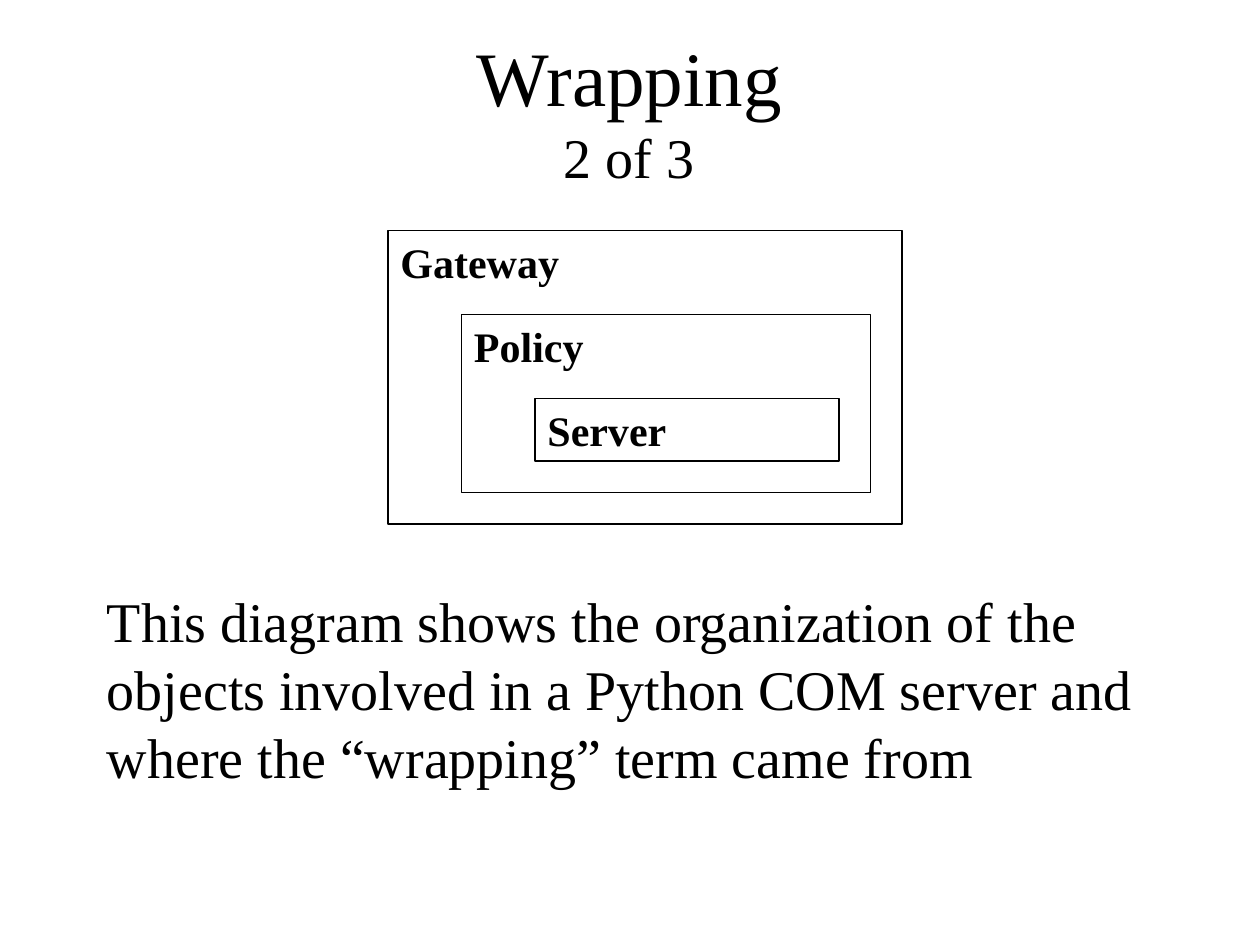
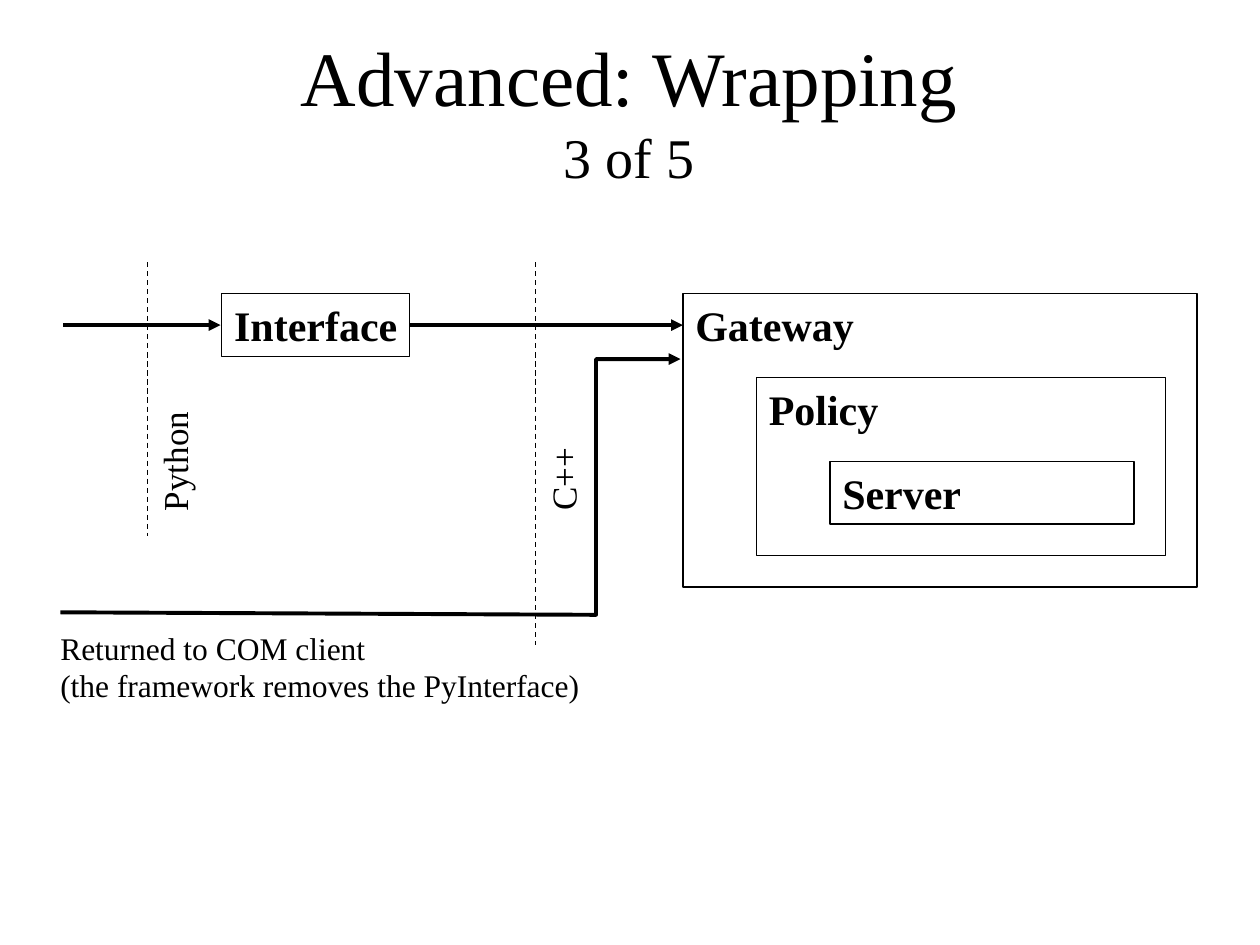
import pptx
import pptx.dml.color
import pptx.enum.dml
import pptx.enum.shapes
import pptx.enum.text
import pptx.oxml.ns
import pptx.util
from lxml import etree
from pptx.util import Inches

BLACK = pptx.dml.color.RGBColor(0x00, 0x00, 0x00)
WHITE = pptx.dml.color.RGBColor(0xFF, 0xFF, 0xFF)
FONT = "Times New Roman"
THIN, THICK = 0.75, 2.25
ANCHOR = pptx.enum.text.MSO_ANCHOR
ALIGN = pptx.enum.text.PP_ALIGN
RECTANGLE = pptx.enum.shapes.MSO_SHAPE.RECTANGLE
STRAIGHT = pptx.enum.shapes.MSO_CONNECTOR.STRAIGHT
DASH = pptx.enum.dml.MSO_LINE_DASH_STYLE.DASH


class Deck:
    def __init__(self):
        self.presentation = pptx.Presentation()
        self.presentation.slide_width = Inches(10)
        self.presentation.slide_height = Inches(7.5)
        self.slide = None

    def new_slide(self, title, part):
        self.slide = self.presentation.slides.add_slide(self.presentation.slide_layouts[6])
        fill = self.slide.background.fill
        fill.solid()
        fill.fore_color.rgb = WHITE
        frame = self.text_frame(0.33, 0.33, 9.33, 1.08)
        frame.vertical_anchor = ANCHOR.MIDDLE
        paragraph = frame.paragraphs[0]
        paragraph.alignment = ALIGN.CENTER
        self.run(paragraph, title, 44)
        paragraph.add_line_break()
        self.run(paragraph, part, 32)

    def run(self, paragraph, text, size, bold=False):
        run = paragraph.add_run()
        run.text = text
        run.font.name = FONT
        run.font.size = pptx.util.Pt(size)
        run.font.bold = bold
        run.font.color.rgb = BLACK

    def text_frame(self, left, top, width, height):
        shape = self.slide.shapes.add_textbox(
            Inches(left), Inches(top), Inches(width), Inches(height))
        shape.text_frame.word_wrap = True
        return shape.text_frame

    def lines(self, frame, texts, size):
        """Write one paragraph for each text and return the paragraphs."""
        for index, text in enumerate(texts):
            paragraph = frame.add_paragraph() if index else frame.paragraphs[0]
            self.run(paragraph, text, size)
        return frame.paragraphs

    def body(self, texts):
        frame = self.text_frame(0.75, 4.71, 8.5, 1.95)
        for paragraph in self.lines(frame, texts, 32):
            paragraph.line_spacing = 0.8
            paragraph.space_before = pptx.util.Pt(8)

    def note(self, left, top, width, height, texts):
        self.lines(self.text_frame(left, top, width, height), texts, 18)

    def side_label(self, left, top, width, text):
        """Write a label that reads from bottom to top."""
        shape = self.slide.shapes.add_textbox(
            Inches(left), Inches(top), Inches(width), Inches(0.44))
        shape.rotation = 270
        shape.text_frame.word_wrap = False
        self.run(shape.text_frame.paragraphs[0], text, 20)

    def box(self, shapes, left, top, width, height, text, wrap=True):
        shape = shapes.add_shape(
            RECTANGLE, Inches(left), Inches(top), Inches(width), Inches(height))
        shape.shadow.inherit = False
        shape.fill.background()
        self.outline(shape, THIN)
        frame = shape.text_frame
        frame.word_wrap = wrap
        frame.vertical_anchor = ANCHOR.TOP
        frame.paragraphs[0].alignment = ALIGN.LEFT
        self.run(frame.paragraphs[0], text, 24, bold=True)

    def nested_boxes(self, left, top):
        """Draw the wrapped objects, each inside the one before."""
        margin, step_right, step_down = 0.25, 7 / 12, 2 / 3
        group = self.slide.shapes.add_group_shape()
        for level, name in enumerate(("Gateway", "Policy", "Server")):
            self.box(group.shapes,
                     left + level * step_right, top + level * step_down,
                     4.08 - level * (step_right + margin),
                     2.33 - level * (step_down + margin), name)

    def outline(self, shape, weight, arrow=False):
        shape.line.color.rgb = BLACK
        shape.line.width = pptx.util.Pt(weight)
        if arrow:
            etree.SubElement(shape.line._get_or_add_ln(),
                             pptx.oxml.ns.qn("a:tailEnd"), type="triangle")

    def connector(self, start, end, weight, arrow=False):
        connector = self.slide.shapes.add_connector(
            STRAIGHT, *(Inches(value) for value in start + end))
        self.outline(connector, weight, arrow)
        etree.SubElement(connector._element.spPr, pptx.oxml.ns.qn("a:effectLst"))
        return connector

    def arrow(self, left, right, y):
        self.connector((left, y), (right, y), THICK, arrow=True)

    def boundary(self, x, top, bottom):
        self.connector((x, top), (x, bottom), THIN).line.dash_style = DASH

    def bent_arrow(self, points):
        corners = [(Inches(x), Inches(y)) for x, y in points]
        builder = self.slide.shapes.build_freeform(*corners[0])
        builder.add_line_segments(corners[1:], close=False)
        shape = builder.convert_to_shape()
        shape.shadow.inherit = False
        shape.fill.background()
        self.outline(shape, THICK, arrow=True)


def main():
    deck = Deck()

    deck.new_slide("Wrapping", "2 of 3")
    deck.nested_boxes(3.08, 1.83)
    deck.body(("This diagram shows the organization of the",
               "objects involved in a Python COM server and",
               "where the “wrapping” term came from"))

    deck.new_slide("Advanced: Wrapping", "3 of 5")
    deck.nested_boxes(5.42, 2.33)
    deck.box(deck.slide.shapes, 1.76, 2.33, 1.49, 0.5, "Interface", wrap=False)
    deck.arrow(3.25, 5.42, 2.58)
    deck.arrow(0.5, 1.75, 2.58)
    deck.boundary(1.17, 2.08, 4.25)
    deck.side_label(0.89, 3.44, 0.99, "Python")
    deck.boundary(4.25, 2.08, 5.12)
    deck.side_label(4.12, 3.58, 0.7, "C++")
    deck.bent_arrow(((0.48, 4.86), (4.73, 4.88), (4.73, 2.85), (5.4, 2.85)))
    deck.note(0.38, 4.94, 4.38, 0.7,
              ("Returned to COM client", "(the framework removes the PyInterface)"))

    deck.presentation.save("out.pptx")


if __name__ == "__main__":
    main()
